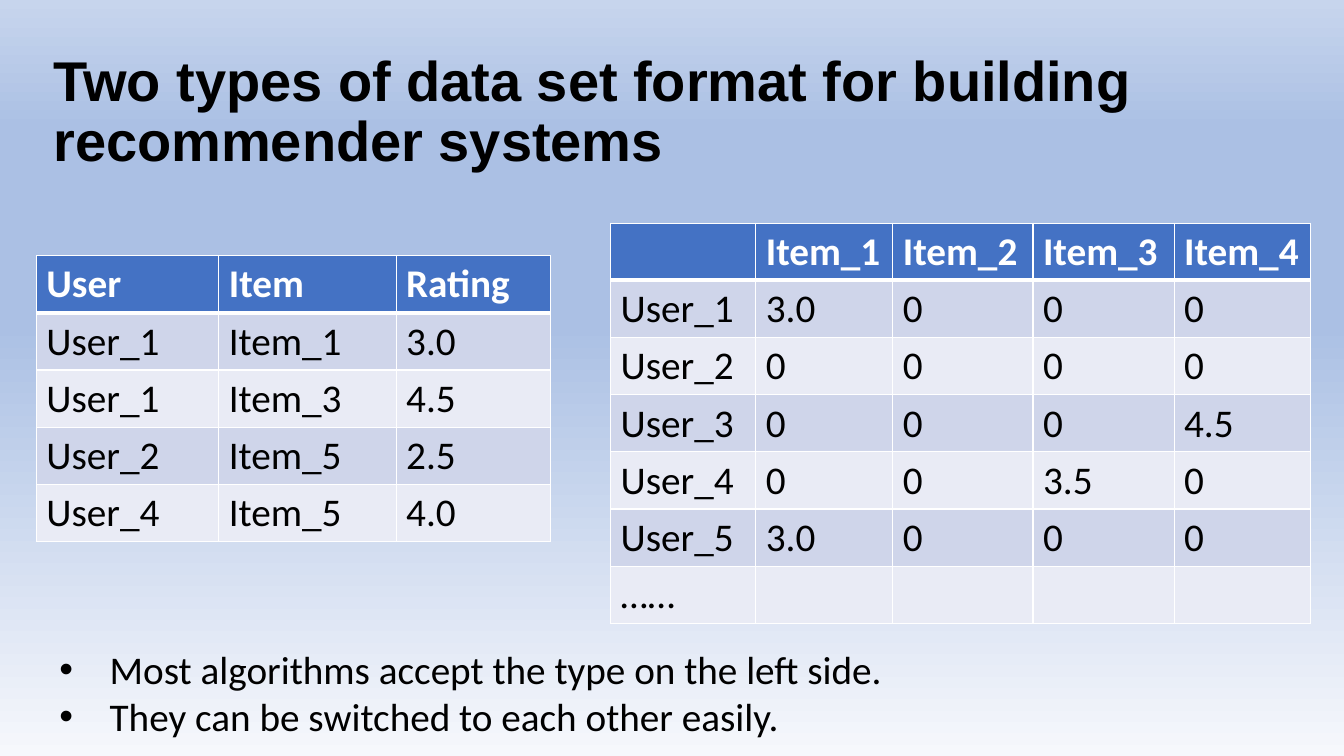
from dataclasses import dataclass

from lxml import etree
from pptx import Presentation
from pptx import util as u
from pptx.dml.color import RGBColor
from pptx.enum import text
from pptx.oxml import ns


@dataclass(frozen=True)
class Theme:
    title_font: str = "Arial"
    body_font: str = "Calibri"
    title_size: int = 40
    body_size: int = 28
    ink: str = "000000"
    white: str = "FFFFFF"
    header: str = "4472C4"
    bands: tuple = ("CFD5EA", "E9EBF5")
    backdrop: tuple = ((0, "F6F8FC"), (57, "ABC0E4"), (83, "ABC0E4"), (100, "C7D5ED"))
    thin: int = 1
    thick: int = 3


def add_node(parent, tag, **attributes):
    return etree.SubElement(parent, ns.qn(tag), attributes)


class SlideBuilder:
    def __init__(self, page, theme):
        self.page = page
        self.theme = theme

    def style(self, para, name, size, color, bold=False):
        para.font.name = name
        para.font.size = u.Pt(size)
        para.font.bold = bold
        para.font.color.rgb = RGBColor.from_string(color)

    def background(self):
        fill = self.page.background.fill
        fill.gradient()
        fill.gradient_angle = 90
        stops = next(self.page.background._cSld.iter(ns.qn("a:gsLst")))
        for stop in list(stops):
            stops.remove(stop)
        for percent, color in self.theme.backdrop:
            stop = add_node(stops, "a:gs", pos=str(percent * 1000))
            add_node(stop, "a:srgbClr", val=color)

    def text_box(self, left, top, width, height):
        box = self.page.shapes.add_textbox(*map(u.Pt, (left, top, width, height)))
        box.text_frame.word_wrap = True
        return box.text_frame

    def title(self, words, *place):
        frame = self.text_box(*place)
        frame.vertical_anchor = text.MSO_ANCHOR.MIDDLE
        para = frame.paragraphs[0]
        para.text = words
        para.line_spacing = 0.9
        self.style(para, self.theme.title_font, self.theme.title_size, self.theme.ink, True)

    def bullets(self, lines, *place, indent=36):
        frame = self.text_box(*place)
        frame.text = "\n".join(lines)
        for para in frame.paragraphs:
            self.style(para, self.theme.body_font, self.theme.body_size, self.theme.ink)
            properties = para._p.get_or_add_pPr()
            properties.set("marL", str(u.Pt(indent)))
            properties.set("indent", str(-u.Pt(indent)))
            bullet = etree.Element(ns.qn("a:buChar"), char="•")
            bullet_font = etree.Element(ns.qn("a:buFont"), typeface="Arial")
            properties.insert(0, bullet_font)
            properties.insert(1, bullet)

    def borders(self, cell, top, bottom):
        properties = cell._tc.get_or_add_tcPr()
        sides = {"L": self.theme.thin, "R": self.theme.thin, "T": top, "B": bottom}
        for index, (side, weight) in enumerate(sides.items()):
            line = etree.Element(ns.qn(f"a:ln{side}"), w=str(u.Pt(weight)))
            add_node(add_node(line, "a:solidFill"), "a:srgbClr", val=self.theme.white)
            properties.insert(index, line)

    def table(self, rows, widths, left, top, row_height=40.8):
        theme = self.theme
        place = map(u.Pt, (left, top, sum(widths), row_height * len(rows)))
        table = self.page.shapes.add_table(len(rows), len(widths), *place).table
        for column, width in zip(table.columns, widths):
            column.width = u.Pt(width)
        for number, values in enumerate(rows):
            is_header = number == 0
            fill = theme.header if is_header else theme.bands[(number - 1) % 2]
            color = theme.white if is_header else theme.ink
            above = theme.thick if number == 1 else theme.thin
            below = theme.thick if is_header else theme.thin
            for cell, value in zip(table.rows[number].cells, values):
                cell.text = value
                cell.fill.solid()
                cell.fill.fore_color.rgb = RGBColor.from_string(fill)
                self.style(cell.text_frame.paragraphs[0], theme.body_font,
                           theme.body_size, color, is_header)
                self.borders(cell, above, below)


RATING_LIST = [
    ("User", "Item", "Rating"),
    ("User_1", "Item_1", "3.0"),
    ("User_1", "Item_3", "4.5"),
    ("User_2", "Item_5", "2.5"),
    ("User_4", "Item_5", "4.0"),
]
RATING_MATRIX = [
    ("", "Item_1", "Item_2", "Item_3", "Item_4"),
    ("User_1", "3.0", "0", "0", "0"),
    ("User_2", "0", "0", "0", "0"),
    ("User_3", "0", "0", "0", "4.5"),
    ("User_4", "0", "0", "3.5", "0"),
    ("User_5", "3.0", "0", "0", "0"),
    ("……", "", "", "", ""),
]


def main():
    deck = Presentation()
    deck.slide_width, deck.slide_height = u.Pt(960), u.Pt(540)
    builder = SlideBuilder(deck.slides.add_slide(deck.slide_layouts[6]), Theme())
    builder.background()
    builder.title("Two types of data set format for building recommender systems",
                  31, 28.8, 905, 104.4)
    builder.table(RATING_LIST, (130.3, 126.7, 110.2), 26, 182.6)
    builder.table(RATING_MATRIX, (103.7, 97.9, 100.1, 100.8, 97.2), 436.2, 159.4)
    builder.bullets(["Most algorithms accept the type on the left side.",
                     "They can be switched to each other easily."],
                    35.3, 457.2, 715.7, 74.9)
    deck.save("out.pptx")


if __name__ == "__main__":
    main()
